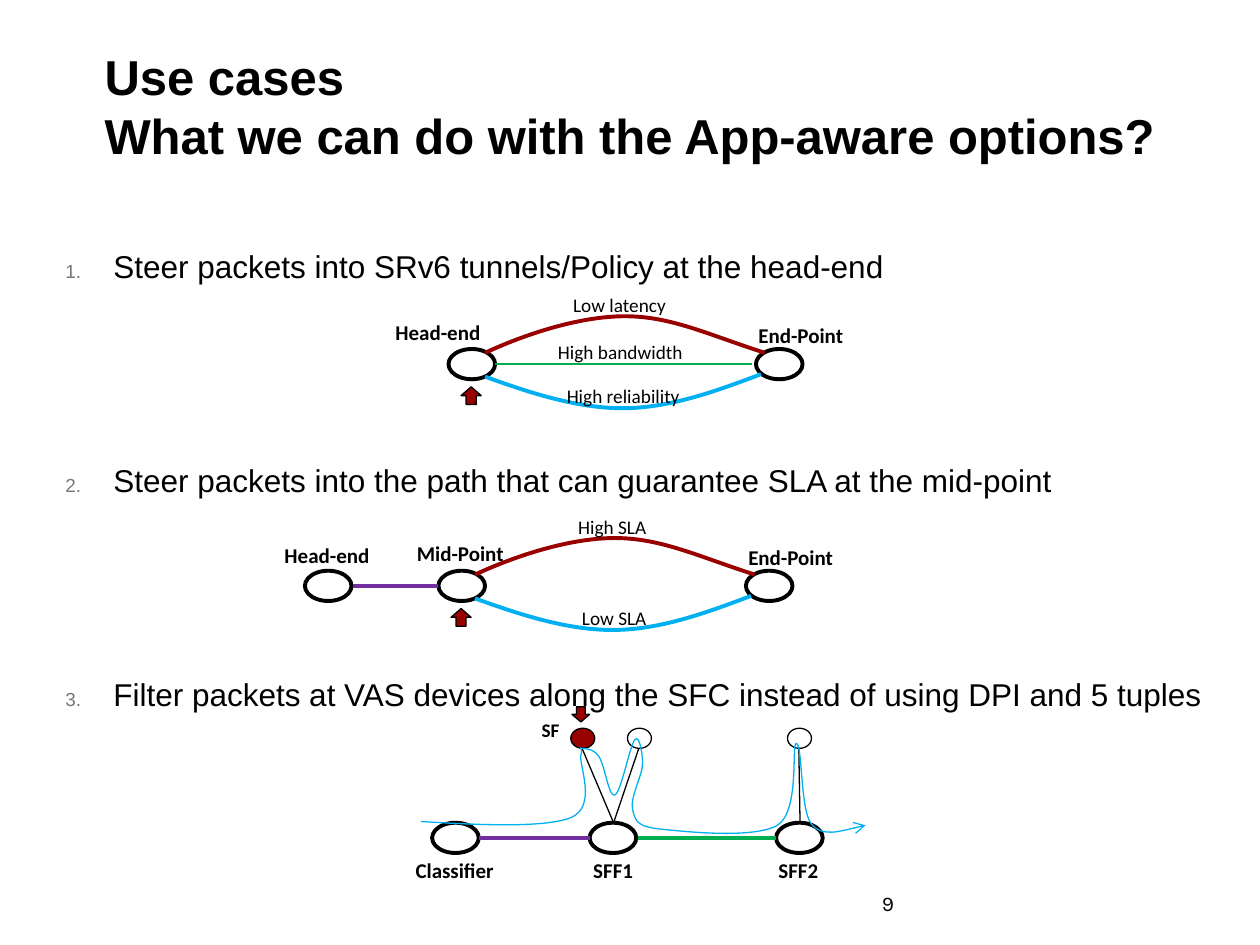
from lxml import etree
from pptx import Presentation, util as u
from pptx.dml.color import RGBColor
from pptx.enum import shapes, text
from pptx.oxml import ns

BLACK = RGBColor(0, 0, 0)
GRAY = RGBColor(0x77, 0x77, 0x77)
RED = RGBColor(0x99, 0, 0)
GREEN = RGBColor(0, 0xB0, 0x50)
BLUE = RGBColor(0, 0xB0, 0xF0)
PURPLE = RGBColor(0x70, 0x30, 0xA0)
KIND = shapes.MSO_SHAPE


def cm(inch):
    """Turn inches into a length given in centimetres."""
    return u.Cm(inch * 2.54)


def tag(node, name, **attrs):
    """Append a drawing element to a node."""
    return etree.SubElement(node, ns.qn("a:" + name), attrs)


def write(par, words, size=12, font="Calibri", bold=False, color=BLACK):
    """Write text into a paragraph, with line breaks at newlines."""
    for i, line in enumerate(words.split("\n")):
        if i:
            par.add_line_break()
        run = par.add_run()
        run.text = line
        run.font.size = u.Pt(size)
        run.font.name = font
        run.font.bold = bold
        run.font.color.rgb = color


class Board:
    """Holds the slide and draws its elements in one style."""

    oval = (0.37, 0.24)
    dot = (0.19, 0.16)
    thick, thin = 2.25, 0.75

    def __init__(self, deck):
        self.slide = deck.slides.add_slide(deck.slide_layouts[6])
        self.items = self.slide.shapes

    def frame(self, x, y, w, h, pads=(0.1, 0.05, 0.1, 0.05), wrap=True):
        """Add a text box and return its frame."""
        frame = self.items.add_textbox(cm(x), cm(y), cm(w), cm(h)).text_frame
        frame.word_wrap = wrap
        (frame.margin_left, frame.margin_top,
         frame.margin_right, frame.margin_bottom) = map(cm, pads)
        return frame

    def label(self, words, x, y, w, size=12, bold=True):
        """Add a diagram label on one line."""
        frame = self.frame(x, y, w, 0.3, wrap=False)
        frame.auto_size = text.MSO_AUTO_SIZE.SHAPE_TO_FIT_TEXT
        write(frame.paragraphs[0], words, size=size, bold=bold)

    def style(self, shape, fill, color, width):
        """Set fill and line of a shape, without shadow."""
        shape.shadow.inherit = False
        if fill is None:
            shape.fill.background()
        else:
            shape.fill.solid()
            shape.fill.fore_color.rgb = fill
        shape.line.color.rgb = color
        shape.line.width = u.Pt(width)

    def shape(self, kind, x, y, size, fill=None, width=thin):
        """Add a preset shape with a black outline."""
        item = self.items.add_shape(kind, cm(x), cm(y), *map(cm, size))
        self.style(item, fill, BLACK, width)

    def node(self, x, y):
        """Add a network node."""
        self.shape(KIND.OVAL, x, y, self.oval, width=self.thick)

    def link(self, start, end, color=BLACK, width=thick):
        """Add a straight line."""
        line = self.items.add_connector(
            shapes.MSO_CONNECTOR.STRAIGHT, *map(cm, start + end))
        line.line.color.rgb = color
        line.line.width = u.Pt(width)
        tag(line._element.spPr, "effectLst")

    def curve(self, start, parts, color, width=thick, arrow=False):
        """Add a chain of cubic curves: two handles and an end for each."""
        pen = self.items.build_freeform(*map(cm, start))
        pen.add_line_segments([tuple(map(cm, p[4:])) for p in parts], close=False)
        item = pen.convert_to_shape()
        self.style(item, None, color, width)
        steps = list(item._element.iter(ns.qn("a:lnTo")))
        for step, part in zip(steps, parts):
            bend = etree.Element(ns.qn("a:cubicBezTo"))
            for x, y in zip(part[::2], part[1::2]):
                tag(bend, "pt", x=str(cm(x) - item.left), y=str(cm(y) - item.top))
            step.getparent().replace(step, bend)
        if arrow:
            tag(item.line._get_or_add_ln(), "tailEnd", type="arrow")

    def fork(self, x, y, high, low):
        """Add two nodes joined by an upper and a lower path, with labels."""
        def move(*nums):
            return tuple(n + (y if i % 2 else x) for i, n in enumerate(nums))

        self.node(x, y)
        self.node(x + 2.44, y)
        self.curve(move(0.29, 0.03), [
            move(0.59, -0.11, 1.03, -0.26, 1.4, -0.26),
            move(1.77, -0.26, 2.07, -0.11, 2.51, 0.03)], RED)
        self.curve(move(0.29, 0.22), [
            move(0.65, 0.35, 1.02, 0.47, 1.38, 0.47),
            move(1.75, 0.47, 2.11, 0.34, 2.48, 0.2)], BLUE)
        self.label("End-Point", x + 2.36, y - 0.26, 1.05)
        for (words, dx, w), dy in ((high, -0.49), (low, 0.23)):
            self.label(words, x + dx, y + dy, w, size=11, bold=False)
        self.shape(KIND.UP_ARROW, x + 0.1, y + 0.3, (0.16, 0.14), RED)

    def points(self, lines):
        """Add the numbered list, spaced to leave room for the diagrams."""
        frame = self.frame(0.43, 1.8, 9.37, 3.79, (0.09, 0.04, 0.09, 0.04))
        for i, words in enumerate(lines):
            par = frame.add_paragraph() if i else frame.paragraphs[0]
            par.line_spacing = 1.4
            par.space_before = u.Pt(92 if i else 0)
            write(par, words, size=18, font="Arial")
            props = par._p.get_or_add_pPr()
            props.set("marL", str(cm(0.38)))
            props.set("indent", str(-cm(0.38)))
            tag(tag(props, "buClr"), "srgbClr", val=str(GRAY))
            tag(props, "buSzPct", val="60000")
            tag(props, "buAutoNum", type="arabicPeriod")


def chain(board):
    """Draw the service function chain."""
    for x, name, left, w in ((3.43, "Classifier", 3.2, 0.83),
                             (4.68, "SFF1", 4.61, 0.52),
                             (6.16, "SFF2", 6.08, 0.52)):
        board.node(x, 6.53)
        board.label(name, left, 6.76, w)
    board.link((3.8, 6.65), (4.68, 6.65), PURPLE)
    board.link((5.06, 6.65), (6.16, 6.65), GREEN)
    for x, base, fill in ((4.53, 4.87, RED), (4.98, 4.87, None),
                          (6.25, 6.35, None)):
        board.shape(KIND.OVAL, x, 5.78, board.dot, fill)
        board.link((base, 6.53), (x + 0.09, 5.94), width=board.thin)
    board.label("SF", 4.2, 5.65, 0.35, size=11)
    board.curve((3.34, 6.52), [
        (3.83, 6.55, 4.32, 6.57, 4.53, 6.49),
        (4.74, 6.4, 4.6, 6.09, 4.61, 6),
        (4.63, 5.91, 4.59, 5.94, 4.61, 5.94),
        (4.64, 5.94, 4.71, 5.94, 4.75, 6),
        (4.8, 6.06, 4.83, 6.33, 4.88, 6.31),
        (4.93, 6.29, 5, 5.91, 5.04, 5.87),
        (5.07, 5.83, 5.1, 5.96, 5.1, 6.06),
        (5.1, 6.15, 5, 6.33, 5.02, 6.42),
        (5.04, 6.51, 5.05, 6.56, 5.24, 6.58),
        (5.43, 6.6, 5.98, 6.66, 6.17, 6.55),
        (6.35, 6.44, 6.28, 5.9, 6.32, 5.9),
        (6.37, 5.9, 6.35, 6.43, 6.44, 6.54),
        (6.53, 6.65, 6.87, 6.55, 6.87, 6.55)], BLUE, board.thin, arrow=True)
    board.shape(KIND.DOWN_ARROW, 4.54, 5.61, (0.14, 0.12), RED)


def main():
    """Build the slide and save it."""
    deck = Presentation()
    deck.slide_width, deck.slide_height = cm(10), cm(7.5)
    board = Board(deck)

    title = board.frame(0.83, 0.36, 8.7, 0.95, (0, 0.04, 0.09, 0.04))
    title.vertical_anchor = text.MSO_ANCHOR.MIDDLE
    write(title.paragraphs[0],
          "Use cases\nWhat we can do with the App-aware options?",
          size=28, font="Arial", bold=True)
    page = board.frame(7, 7.1, 1.93, 0.4, (0, 0, 0, 0))
    page.paragraphs[0].line_spacing = 0.85
    write(page.paragraphs[0], "9", font="Karla")
    board.points((
        "Steer packets into SRv6 tunnels/Policy at the head-end",
        "Steer packets into the path that can guarantee SLA at the mid-point",
        "Filter packets at VAS devices along the SFC instead of using DPI and 5 tuples"))

    board.fork(3.56, 2.77, ("Low latency", 0.89, 0.95),
               ("High reliability", 0.84, 1.1))
    board.link((3.93, 2.89), (5.97, 2.89), GREEN, 1.5)
    board.label("High bandwidth", 4.33, 2.65, 1.19, size=11, bold=False)
    board.label("Head-end", 3.04, 2.49, 1.04)

    board.fork(3.48, 4.53, ("High SLA", 1.01, 0.75), ("Low SLA", 1.04, 0.72))
    board.node(2.42, 4.53)
    board.link((2.8, 4.65), (3.48, 4.65), PURPLE)
    board.label("Head-end", 2.16, 4.26, 1.04)
    board.label("Mid-Point", 3.21, 4.24, 0.91)

    chain(board)
    deck.save("out.pptx")


main()
